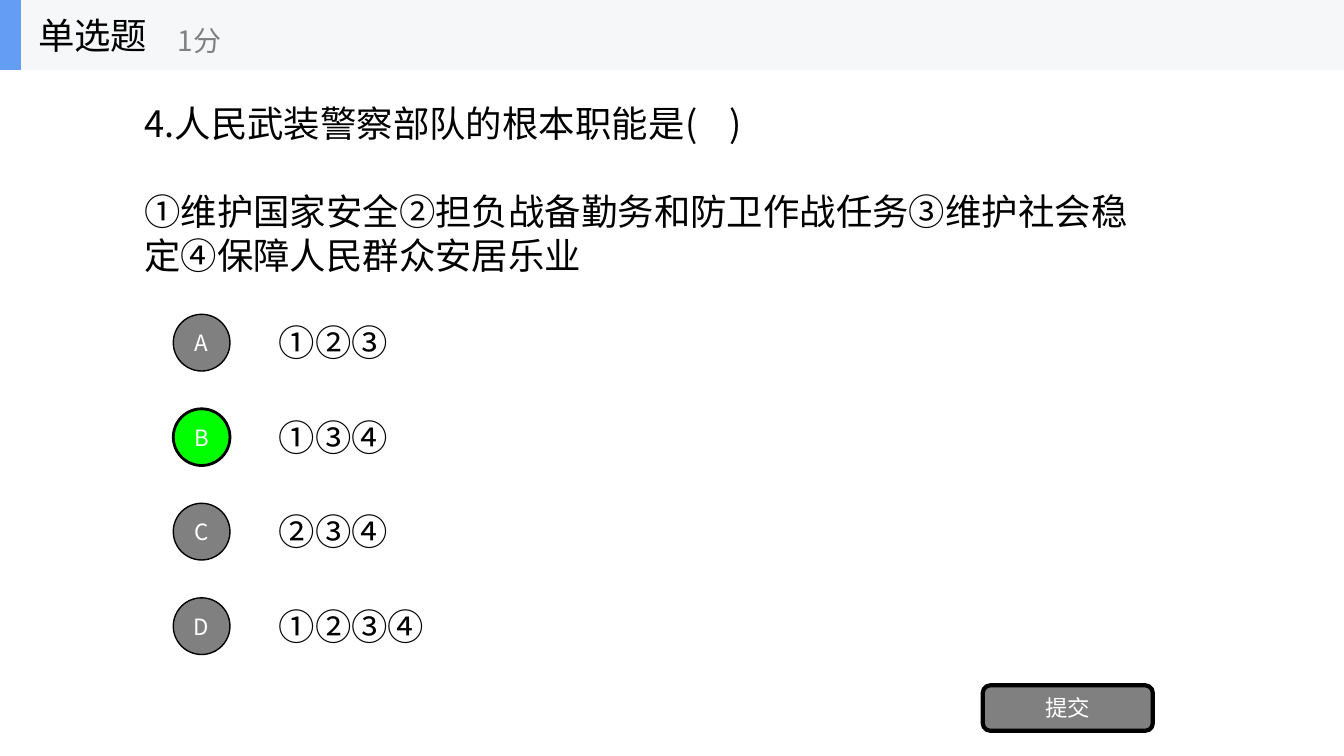
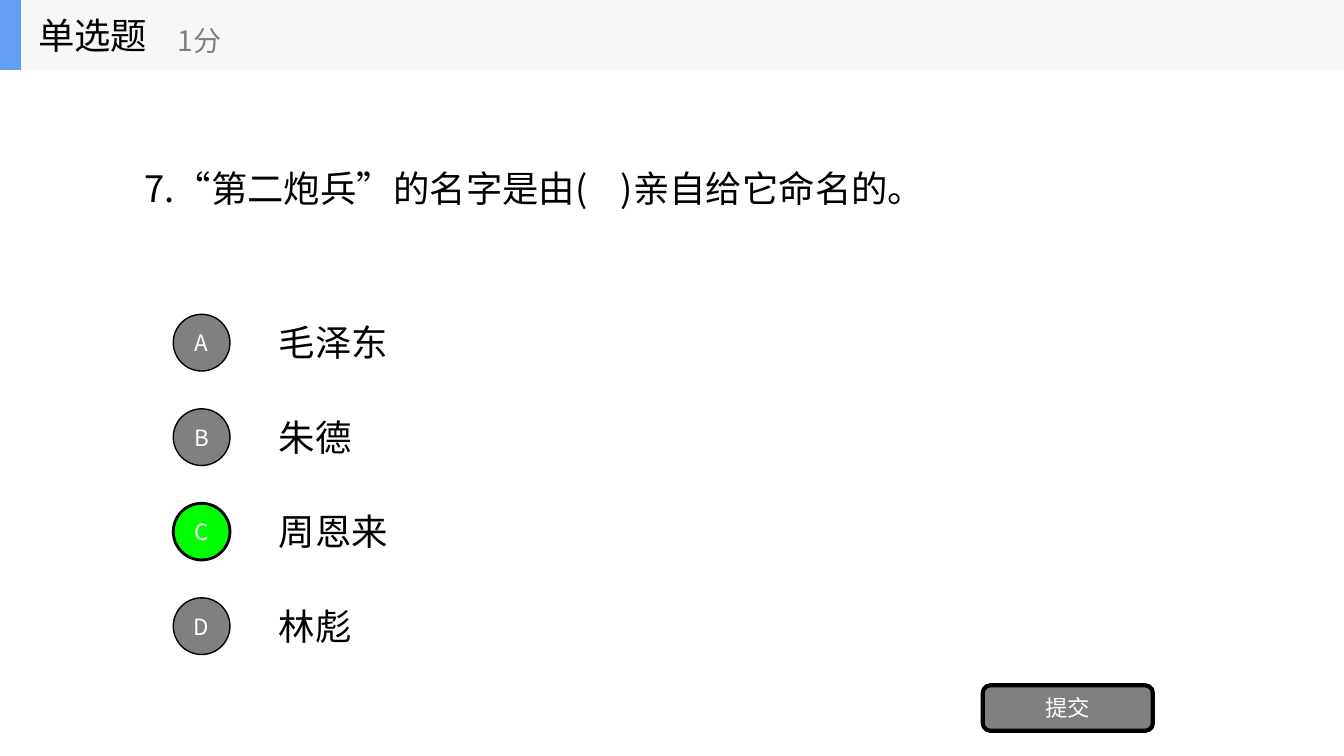
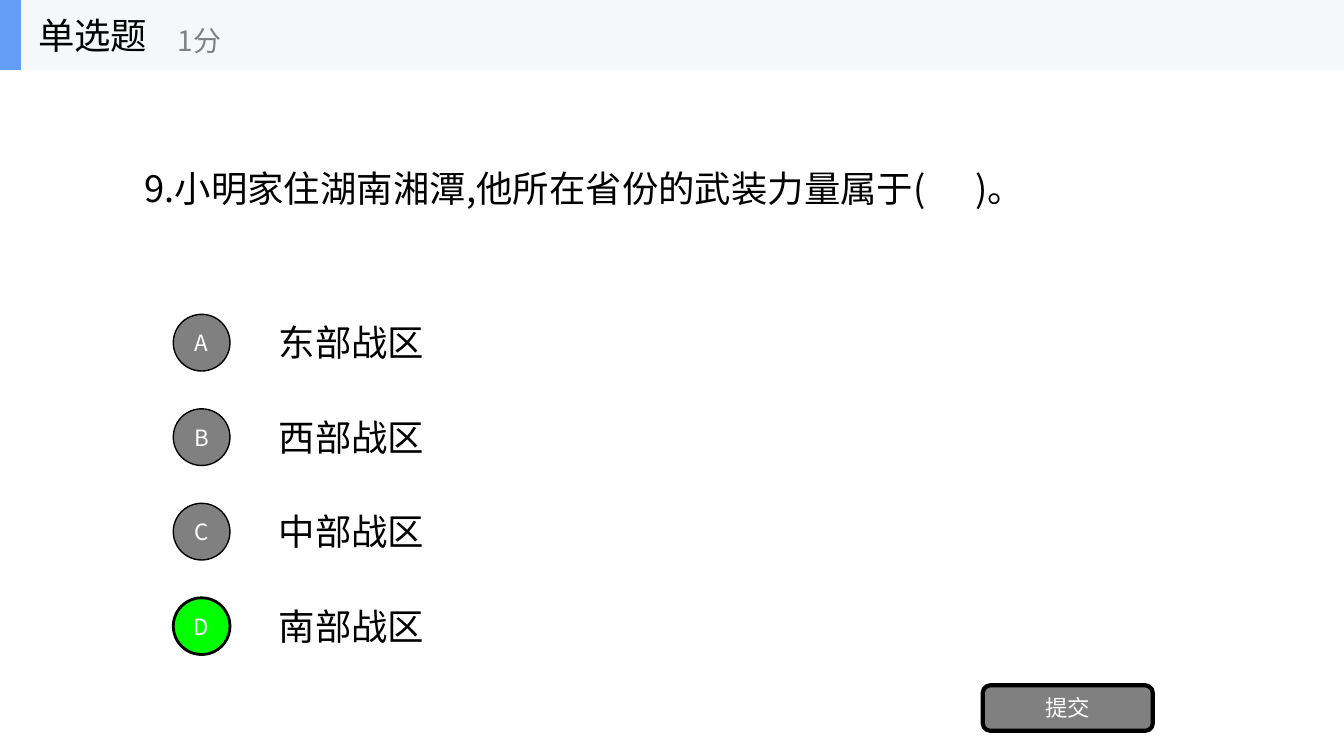
from lxml.etree import SubElement
from pptx import Presentation
from pptx.dml.color import RGBColor
from pptx.enum.shapes import MSO_SHAPE
from pptx.enum.text import MSO_ANCHOR, MSO_AUTO_SIZE, PP_ALIGN
from pptx.oxml.ns import qn
from pptx.util import Pt

FONT = "Noto Sans CJK SC"
COLORS = {
    "ink": "000000",
    "gray": "808080",
    "white": "FFFFFF",
    "right": "00FF00",
    "band": "F6F7F8",
    "accent": "639EF4",
}

# Question box (left, top, width, height), paragraphs, options, right answer
QUIZ = [
    ((96, 69, 742, 132),
     ["4.人民武装警察部队的根本职能是(    )",
      "①维护国家安全②担负战备勤务和防卫作战任务③维护社会稳定④保障人民群众安居乐业"],
     ["①②③", "①③④", "②③④", "①②③④"], "B"),
    ((96, 115, 586, 38),
     ["7.“第二炮兵”的名字是由(    )亲自给它命名的。"],
     ["毛泽东", "朱德", "周恩来", "林彪"], "C"),
    ((96, 115, 656, 38),
     ["9.小明家住湖南湘潭,他所在省份的武装力量属于(      )。"],
     ["东部战区", "西部战区", "中部战区", "南部战区"], "D"),
]


def rgb(name):
    return RGBColor.from_string(COLORS[name])


def write(shape, *lines, size=26, color="ink", align=PP_ALIGN.LEFT,
          pitch=None, gap=0):
    """Fill a shape with one formatted paragraph per line."""
    frame = shape.text_frame
    frame.word_wrap = True
    frame.auto_size = MSO_AUTO_SIZE.NONE
    frame.vertical_anchor = MSO_ANCHOR.MIDDLE
    for i, line in enumerate(lines):
        para = frame.add_paragraph() if i else frame.paragraphs[0]
        para.alignment = align
        para.space_before = Pt(gap if i else 0)
        if pitch:
            para.line_spacing = Pt(pitch)
        run = para.add_run()
        run.text = line
        run.font.size = Pt(size)
        run.font.color.rgb = rgb(color)
        run.font.name = FONT
        east = SubElement(run.font._element, qn("a:ea"))
        east.set("typeface", FONT)


def label(slide, box, *lines, **style):
    write(slide.shapes.add_textbox(*map(Pt, box)), *lines, **style)


def block(slide, kind, box, fill, line=0):
    shape = slide.shapes.add_shape(kind, *map(Pt, box))
    shape.shadow.inherit = False
    shape.fill.solid()
    shape.fill.fore_color.rgb = rgb(fill)
    if line:
        shape.line.color.rgb = rgb("ink")
        shape.line.width = Pt(line)
    else:
        shape.line.fill.background()
    return shape


def button(slide, kind, box, text, fill="gray", line=1):
    shape = block(slide, kind, box, fill, line)
    frame = shape.text_frame
    frame.margin_left = frame.margin_right = 0
    write(shape, text, size=16, color="white", align=PP_ALIGN.CENTER)


def header(slide):
    block(slide, MSO_SHAPE.RECTANGLE, (0, 0, 960, 50), "band")
    block(slide, MSO_SHAPE.RECTANGLE, (0, 0, 15, 50), "accent")
    title = slide.shapes.title
    title.left, title.top, title.width, title.height = map(Pt, (20, 0, 150, 50))
    write(title, "单选题")
    # Bring the title in front of the band
    title.element.getparent().append(title.element)
    label(slide, (120, 9, 180, 40), "1分", size=20, color="gray")


def choice(slide, row, text, right):
    top = 224.5 + 67.5 * row
    letter = "ABCD"[row]
    label(slide, (192, top + 1, 26 * len(text) + 22, 38), text)
    hit = letter == right
    button(slide, MSO_SHAPE.OVAL, (123.75, top, 40.5, 40.5), letter,
           fill="right" if hit else "gray", line=2 if hit else 1)


def main():
    deck = Presentation()
    deck.slide_width, deck.slide_height = Pt(960), Pt(540)
    for box, lines, options, right in QUIZ:
        slide = deck.slides.add_slide(deck.slide_layouts[5])
        # Question and answers
        label(slide, box, *lines, pitch=31.4, gap=31.4)
        for row, text in enumerate(options):
            choice(slide, row, text, right)
        # Submit button and shared band
        button(slide, MSO_SHAPE.ROUNDED_RECTANGLE, (702, 489.5, 121.5, 32.5),
               "提交", line=3)
        header(slide)
    deck.save("out.pptx")


if __name__ == "__main__":
    main()
